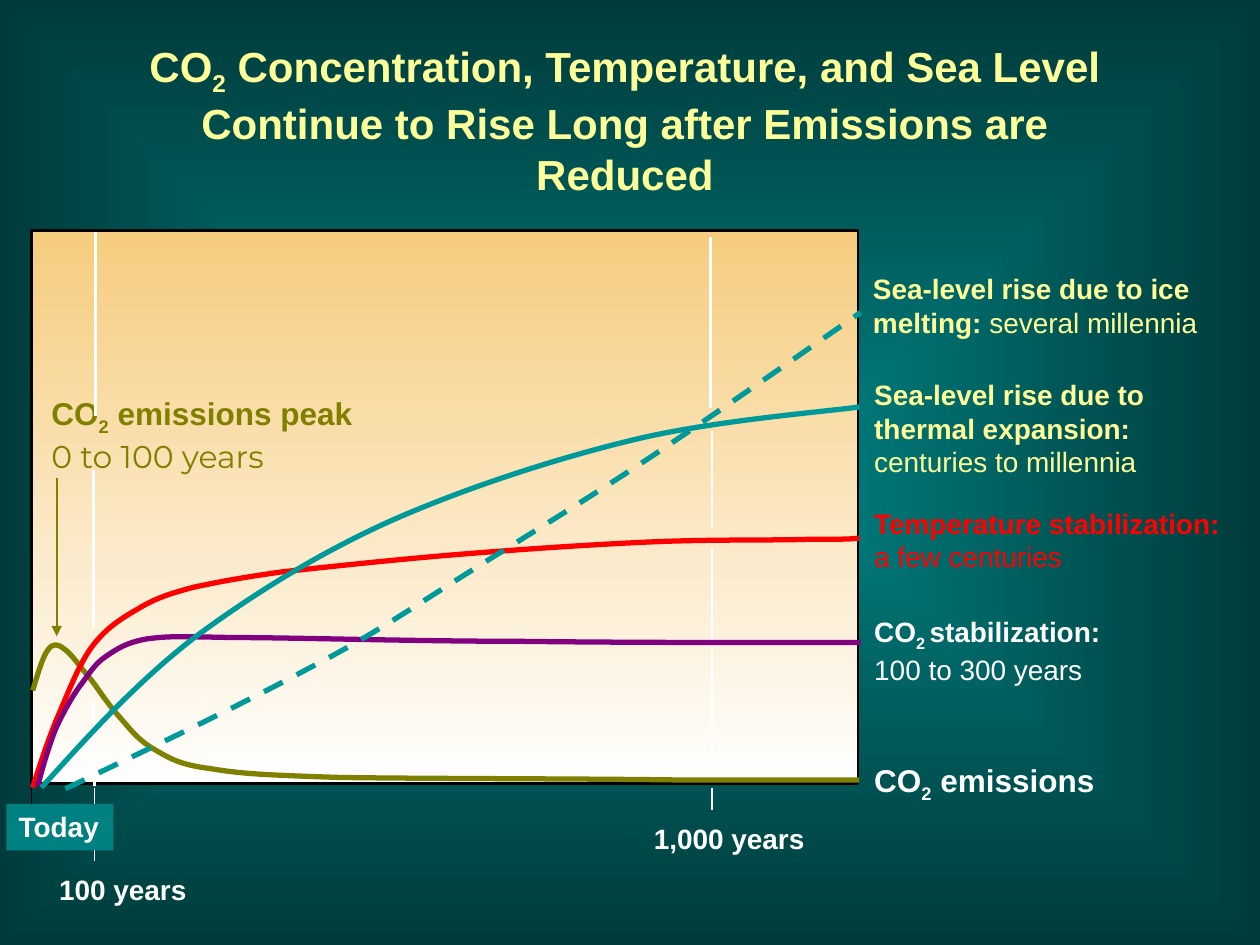
from dataclasses import dataclass

from lxml.etree import SubElement
from pptx import Presentation
from pptx.dml.color import RGBColor
from pptx.enum.dml import MSO_LINE
from pptx.enum.shapes import MSO_CONNECTOR, MSO_SHAPE
from pptx.enum.text import MSO_ANCHOR, MSO_AUTO_SIZE, PP_ALIGN
from pptx.oxml.ns import qn
from pptx.util import Inches, Pt


@dataclass(frozen=True)
class Theme:
    font: str = "Arial"
    accent_font: str = "Montserrat"
    title_size: int = 24
    large_size: int = 18
    label_size: int = 16
    curve_width: float = 3
    grid_width: float = 1.5
    tick_width: float = 1
    white: RGBColor = RGBColor(0xFF, 0xFF, 0xFF)
    black: RGBColor = RGBColor(0x00, 0x00, 0x00)
    yellow: RGBColor = RGBColor(0xFF, 0xFF, 0x99)
    sand: RGBColor = RGBColor(0xF6, 0xCC, 0x7E)
    teal: RGBColor = RGBColor(0x00, 0x80, 0x80)
    dark_teal: RGBColor = RGBColor(0x00, 0x3B, 0x3B)
    sea: RGBColor = RGBColor(0x00, 0x99, 0x99)
    red: RGBColor = RGBColor(0xFF, 0x00, 0x00)
    purple: RGBColor = RGBColor(0x80, 0x00, 0x80)
    olive: RGBColor = RGBColor(0x80, 0x80, 0x00)


theme = Theme()


def write_text(shape, paragraphs, color, size=theme.label_size, wrap=True, align=PP_ALIGN.LEFT):
    """Each paragraph is a list of (text, style); styles: bold, sub, plain, accent."""
    frame = shape.text_frame
    frame.auto_size = MSO_AUTO_SIZE.NONE
    frame.word_wrap = wrap
    frame.vertical_anchor = MSO_ANCHOR.TOP
    for index, runs in enumerate(paragraphs):
        paragraph = frame.add_paragraph() if index else frame.paragraphs[0]
        paragraph.alignment = align
        for text, style in runs:
            run = paragraph.add_run()
            run.text = text
            run.font.name = theme.accent_font if style == "accent" else theme.font
            run.font.size = Pt(size)
            run.font.bold = style in ("bold", "sub")
            run.font.color.rgb = color
            if style == "sub":
                run.font._element.set("baseline", "-25000")


def draw_line(start, end, color, width):
    line = slide.shapes.add_connector(
        MSO_CONNECTOR.STRAIGHT, *(Inches(value) for value in (*start, *end)))
    line.line.color.rgb = color
    line.line.width = Pt(width)
    SubElement(line._element.spPr, qn("a:effectLst"))
    return line


presentation = Presentation()
presentation.slide_width, presentation.slide_height = Inches(10), Inches(7.5)
slide = presentation.slides.add_slide(presentation.slide_layouts[5])

# Background: rectangular gradient, light in the centre
background = slide.background.fill
background.gradient()
for stop, color in zip(background.gradient_stops, (theme.teal, theme.dark_teal)):
    stop.color.rgb = color
gradient = slide.element.find(".//" + qn("a:gradFill"))
gradient.remove(gradient.find(qn("a:lin")))
center = SubElement(SubElement(gradient, qn("a:path"), {"path": "rect"}), qn("a:fillToRect"))
for side in "ltrb":
    center.set(side, "50000")

# Title
title = slide.shapes.title
title.left, title.top, title.width, title.height = (Inches(v) for v in (0.75, 0.27, 8.42, 0.96))
write_text(title, [
    [("CO", "bold"), ("2", "sub"), (" Concentration, Temperature, and Sea Level", "bold")],
    [("Continue to Rise Long after Emissions are Reduced", "bold")],
], theme.yellow, theme.title_size, wrap=False, align=PP_ALIGN.CENTER)

# Plot area
plot = slide.shapes.add_shape(
    MSO_SHAPE.RECTANGLE, Inches(0.25), Inches(1.83), Inches(6.56), Inches(4.39))
plot.shadow.inherit = False
plot.fill.gradient()
plot.fill.gradient_angle = 270
for stop, color in zip(plot.fill.gradient_stops, (theme.sand, theme.white)):
    stop.color.rgb = color
plot.line.color.rgb = theme.black
plot.line.width = Pt(theme.grid_width)

# Labels: place, colour, size, wrap, paragraphs
labels = [
    ((0.37, 6.88, 1.21, 0.37), theme.white, theme.label_size, False, [[("100 years", "bold")]]),
    ((5.09, 6.47, 1.39, 0.37), theme.white, theme.label_size, False, [[("1,000 years", "bold")]]),
    ((6.83, 2.11, 2.92, 0.64), theme.yellow, theme.label_size, True,
     [[("Sea-level rise due to ice melting: ", "bold"), ("several millennia", "plain")]]),
    ((6.84, 2.95, 3.16, 0.9), theme.yellow, theme.label_size, True,
     [[("Sea-level rise due to thermal expansion:", "bold")],
      [("centuries to millennia", "plain")]]),
    ((6.84, 3.97, 3.16, 0.64), theme.red, theme.label_size, True,
     [[("Temperature stabilization:", "bold")], [("a few centuries", "plain")]]),
    ((6.84, 4.83, 3.16, 0.67), theme.white, theme.label_size, True,
     [[("CO", "bold"), ("2 ", "sub"), ("stabilization:", "bold")],
      [("100 to 300 years", "plain")]]),
    ((6.84, 5.99, 2.83, 0.44), theme.white, theme.large_size, True,
     [[("CO", "bold"), ("2", "sub"), (" emissions", "bold")]]),
    ((0.31, 3.08, 2.59, 0.74), theme.olive, theme.large_size, False,
     [[("CO", "bold"), ("2", "sub"), (" emissions peak", "bold")],
      [("0 to 100 years", "accent")]]),
]
for place, color, size, wrap, paragraphs in labels:
    label = slide.shapes.add_textbox(*(Inches(value) for value in place))
    write_text(label, paragraphs, color, size, wrap)

# Time ticks below the plot: x, bottom, colour
for x, bottom, color in [(0.75, 6.83, theme.white), (5.65, 6.43, theme.white),
                         (0.25, 6.43, theme.black)]:
    draw_line((x, 6.25), (x, bottom), color, theme.tick_width)

# Broken vertical guides at 100 and 1,000 years
for start, end in [((0.76, 3.3), (0.76, 1.84)), ((0.74, 4.98), (0.74, 3.73)),
                   ((0.75, 6.24), (0.74, 5.55)), ((5.64, 3.24), (5.64, 1.88)),
                   ((5.65, 4.18), (5.65, 3.42)), ((5.65, 6.15), (5.65, 4.35))]:
    draw_line(start, end, theme.white, theme.grid_width)

# Arrow to the emissions peak
arrow = draw_line((0.45, 3.79), (0.45, 5.05), theme.olive, theme.tick_width)
SubElement(arrow.line._get_or_add_ln(), qn("a:tailEnd"), {"type": "triangle"})

# Curves: a start point, then two control points and an end point per segment
emissions = [
    (0.26, 5.48), (0.3, 5.35), (0.34, 5.21), (0.38, 5.16), (0.42, 5.1), (0.46, 5.11), (0.51, 5.15),
    (0.57, 5.19), (0.64, 5.3), (0.72, 5.39), (0.79, 5.48), (0.85, 5.58), (0.94, 5.68),
    (1.02, 5.77), (1.1, 5.88), (1.23, 5.95), (1.35, 6.02), (1.43, 6.07), (1.67, 6.1),
    (1.91, 6.14), (2.07, 6.15), (2.69, 6.17), (3.31, 6.18), (4.69, 6.18), (5.38, 6.19),
    (6.07, 6.19), (6.44, 6.19), (6.82, 6.19)]
temperature = [
    (0.26, 6.25), (0.33, 6.03), (0.4, 5.82), (0.48, 5.64), (0.56, 5.45), (0.64, 5.25), (0.74, 5.12),
    (0.85, 4.98), (0.96, 4.91), (1.1, 4.83), (1.23, 4.75), (1.35, 4.71), (1.54, 4.66),
    (1.73, 4.62), (1.88, 4.59), (2.23, 4.54), (2.59, 4.5), (3.15, 4.44), (3.64, 4.4),
    (4.13, 4.36), (4.72, 4.32), (5.19, 4.3), (5.65, 4.28), (6.15, 4.29), (6.42, 4.28),
    (6.69, 4.28), (6.75, 4.28), (6.82, 4.27)]
concentration = [
    (0.3, 6.24), (0.34, 6.08), (0.39, 5.92), (0.44, 5.79), (0.5, 5.66), (0.56, 5.55), (0.63, 5.45),
    (0.7, 5.36), (0.75, 5.27), (0.84, 5.21), (0.93, 5.15), (1, 5.1), (1.17, 5.07),
    (1.34, 5.05), (1.36, 5.05), (1.85, 5.06), (2.34, 5.06), (3.29, 5.09), (4.12, 5.09),
    (4.95, 5.1), (5.89, 5.1), (6.83, 5.1)]
thermal_expansion = [
    (0.33, 6.25), (0.7, 5.84), (1.07, 5.43), (1.53, 5.07), (2, 4.72), (2.53, 4.39), (3.11, 4.13),
    (3.7, 3.87), (4.41, 3.64), (5.03, 3.49), (5.65, 3.34), (6.52, 3.27), (6.82, 3.23)]
ice_melting = [
    (0.52, 6.26), (1.21, 5.93), (1.9, 5.6), (2.44, 5.31), (2.98, 5.03), (3.29, 4.81), (3.74, 4.53),
    (4.2, 4.24), (4.68, 3.95), (5.19, 3.61), (5.7, 3.27), (6.27, 2.87), (6.83, 2.48)]

for points, color, dash in [
        (emissions, theme.olive, None), (temperature, theme.red, None),
        (concentration, theme.purple, None), (thermal_expansion, theme.sea, None),
        (ice_melting, theme.sea, MSO_LINE.DASH)]:
    first, *rest = [(Inches(x), Inches(y)) for x, y in points]
    builder = slide.shapes.build_freeform(*first)
    builder.add_line_segments(rest, close=False)
    curve = builder.convert_to_shape()
    curve.shadow.inherit = False
    curve.fill.background()
    curve.line.color.rgb = color
    curve.line.width = Pt(theme.curve_width)
    if dash:
        curve.line.dash_style = dash
    # Join every three straight segments into one Bézier segment
    outline = curve._element.find(".//" + qn("a:path"))
    segments = outline.findall(qn("a:lnTo"))
    for index in range(0, len(segments), 3):
        bezier = SubElement(outline, qn("a:cubicBezTo"))
        for segment in segments[index:index + 3]:
            bezier.append(segment[0])
            outline.remove(segment)

# Today marker
today = slide.shapes.add_shape(
    MSO_SHAPE.RECTANGLE, Inches(0.05), Inches(6.38), Inches(0.85), Inches(0.37))
today.shadow.inherit = False
today.fill.solid()
today.fill.fore_color.rgb = theme.teal
today.line.fill.background()
write_text(today, [[("Today", "bold")]], theme.white, wrap=False)

presentation.save("out.pptx")
